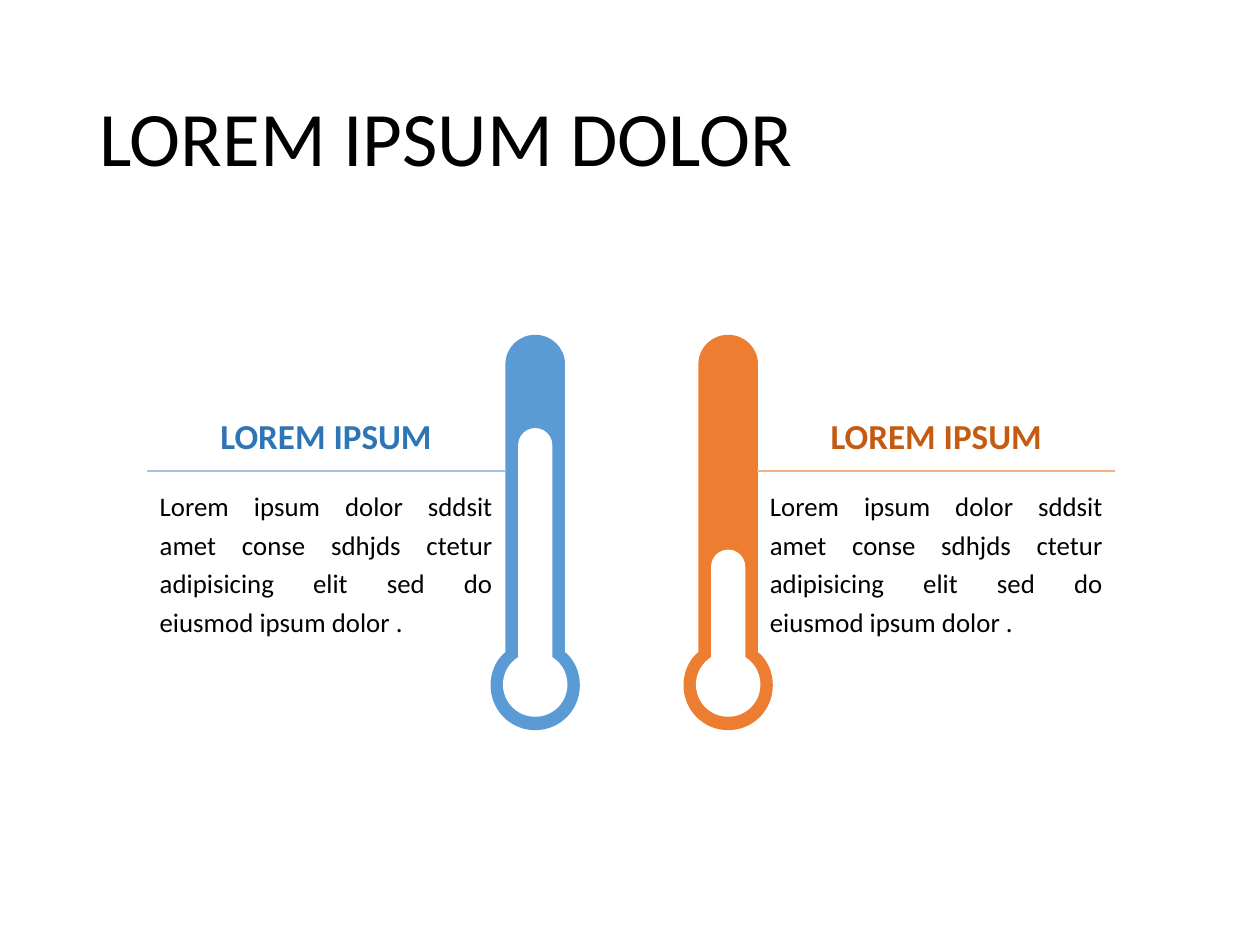
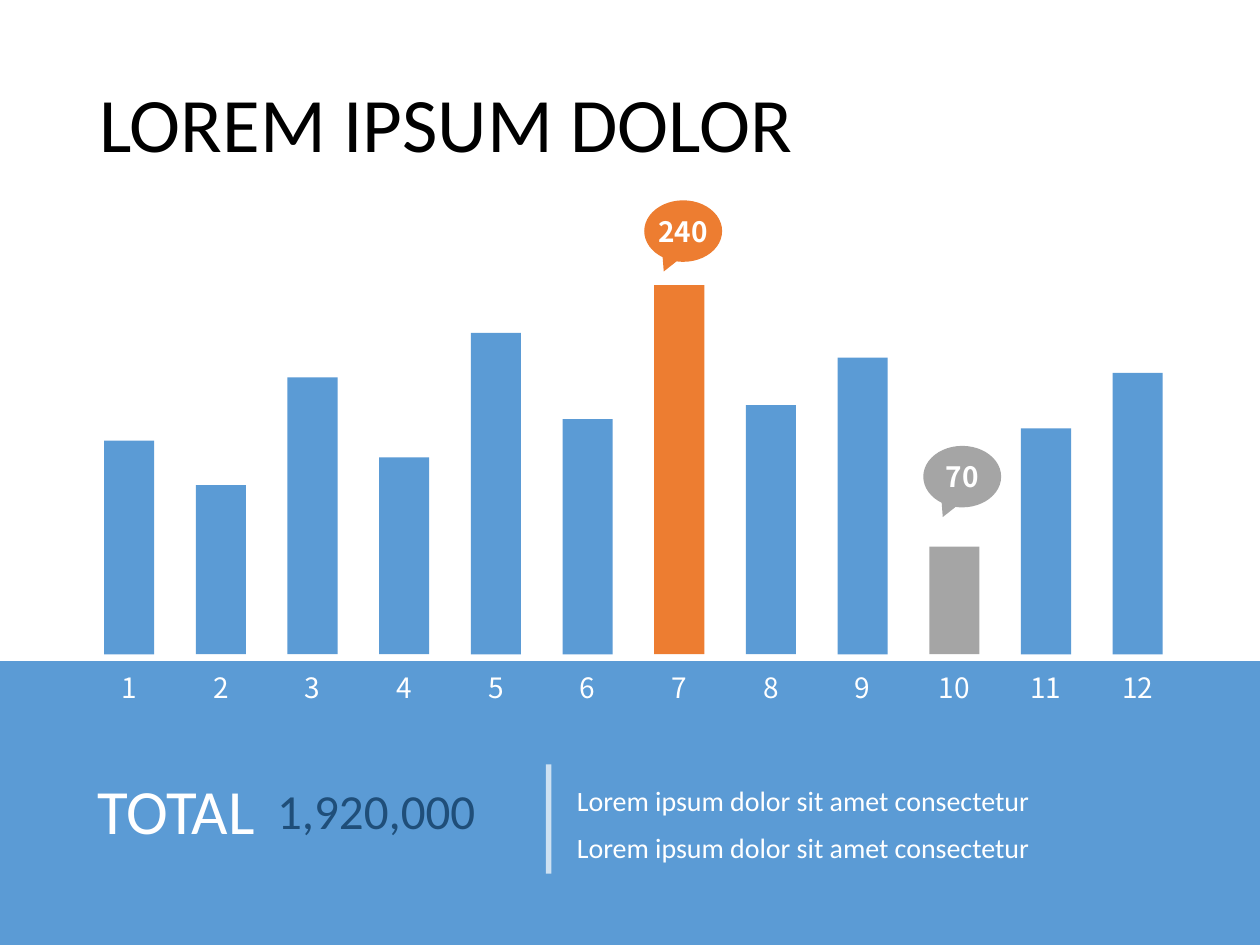
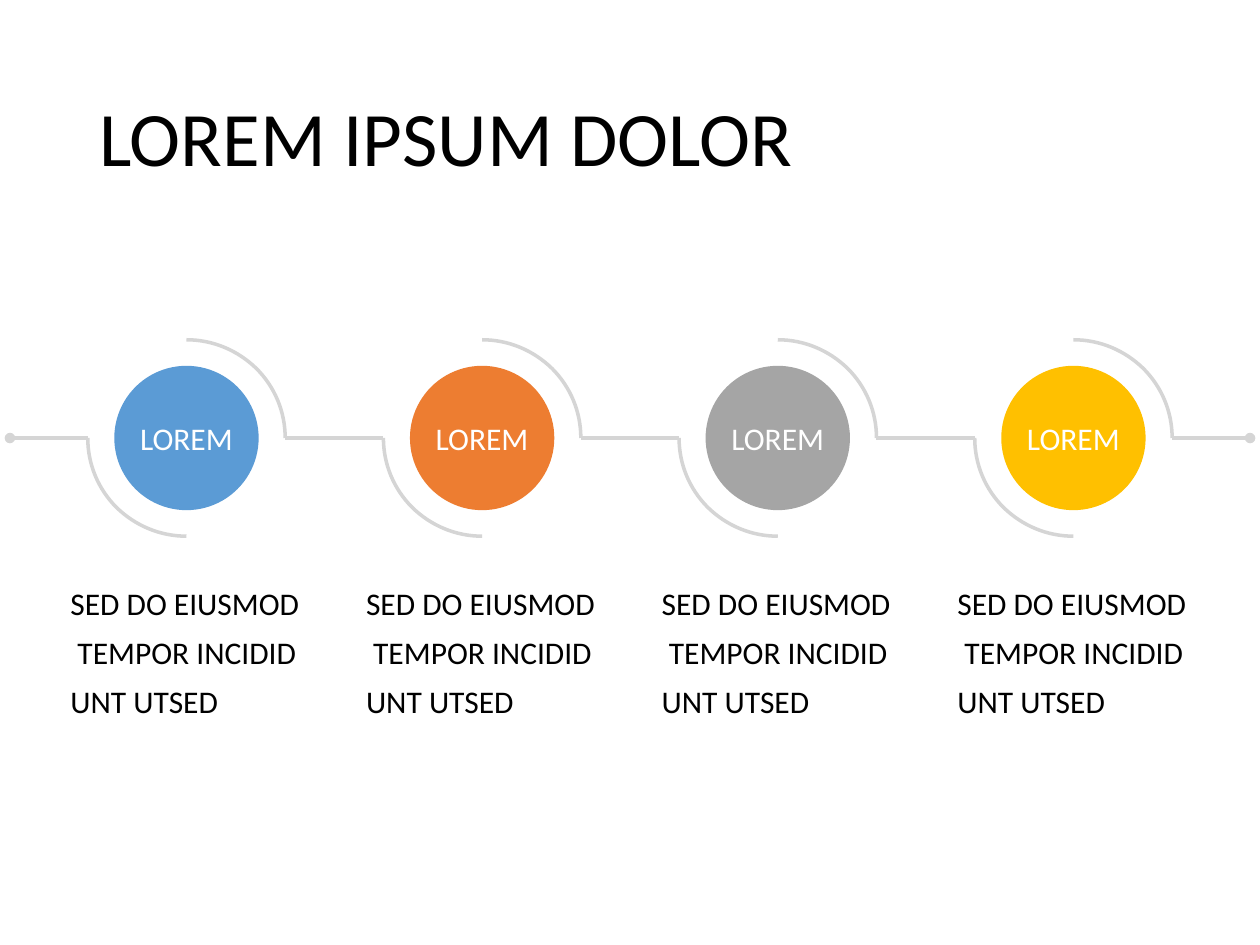
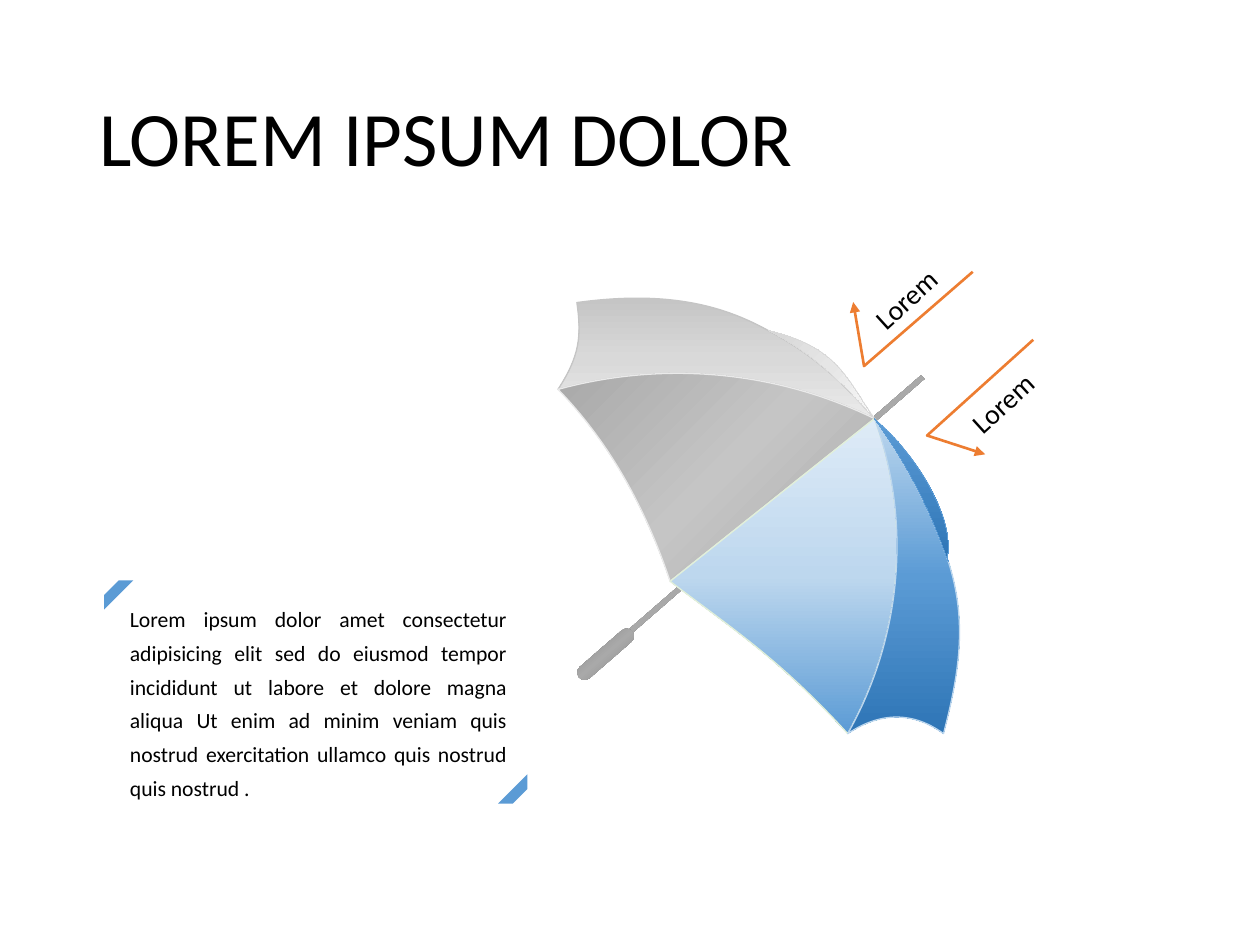
import dataclasses
import typing

import lxml.etree
import pptx
import pptx.dml.color
import pptx.enum.shapes
import pptx.enum.text
import pptx.oxml.ns
import pptx.util

SHAPES = pptx.enum.shapes.MSO_SHAPE
ALIGN = pptx.enum.text.PP_ALIGN
ANCHOR = pptx.enum.text.MSO_ANCHOR
Cm = pptx.util.Cm
Pt = pptx.util.Pt


@dataclasses.dataclass(frozen=True)
class Theme:
    text_font: str = "Calibri"
    number_font: str = "Noto Sans CJK SC"
    black: str = "000000"
    white: str = "FFFFFF"
    blue: str = "5B9BD5"
    blue_dark: str = "2E75B6"
    blue_deep: str = "1F4E79"
    blue_soft: str = "9DC3E6"
    blue_light: str = "BDD7EE"
    blue_pale: str = "DEEBF7"
    green_pale: str = "E2F0D9"
    orange: str = "ED7D31"
    orange_dark: str = "C55A11"
    orange_soft: str = "F4B183"
    yellow: str = "FFC000"
    gray: str = "A5A5A5"
    gray_dark: str = "7D7D7D"
    gray_middle: str = "A9A9A9"
    gray_soft: str = "C5C5C5"
    gray_line: str = "D5D5D5"
    gray_light: str = "D9D9D9"
    gray_pale: str = "EAEAEA"
    gray_sheen: tuple = ("D7D7D7", "E6E6E6", "F9F9F9")
    title_size: float = 44
    total_size: float = 36
    amount_size: float = 28
    heading_size: float = 20
    step_size: float = 18
    label_size: float = 16
    body_size: float = 15.3
    quote_size: float = 12.4


THEME = Theme()
METAL = (THEME.gray_dark, THEME.gray_middle, THEME.gray_dark)
NO_INSETS = (0, 0, 0, 0)


class Box(typing.NamedTuple):
    left: float
    top: float
    width: float
    height: float

    def inside(self, left, top, width, height):
        return Box(self.left + left, self.top + top, width, height)

    def lengths(self):
        return [Cm(value) for value in self]


def rgb(color):
    return pptx.dml.color.RGBColor.from_string(color)


def add_element(parent, tag, **attributes):
    element = lxml.etree.SubElement(parent, pptx.oxml.ns.qn(tag))
    for name, value in attributes.items():
        element.set(name, str(value))
    return element


def write_text(shape, text, *, size, color=THEME.black, font=THEME.text_font, bold=False,
               align=ALIGN.LEFT, anchor=ANCHOR.TOP, insets=(0.25, 0.13, 0.25, 0.13),
               line_spacing=1.0, space_after=0):
    frame = shape.text_frame
    frame.word_wrap = True
    frame.vertical_anchor = anchor
    frame.margin_left, frame.margin_top, frame.margin_right, frame.margin_bottom = map(Cm, insets)
    frame.text = text
    for paragraph in frame.paragraphs:
        paragraph.alignment = align
        paragraph.line_spacing = line_spacing
        paragraph.space_before = Pt(0)
        paragraph.space_after = Pt(space_after)
        for run in paragraph.runs:
            run.font.name = font
            run.font.size = Pt(size)
            run.font.bold = bold
            run.font.color.rgb = rgb(color)


def add_text(slide, box, text, rotation=0, **text_format):
    shape = slide.shapes.add_textbox(*box.lengths())
    shape.rotation = rotation
    write_text(shape, text, **text_format)


def paint(shape, fill=None, line=None, width=0.75, angle=90):
    shape.shadow.inherit = False
    if fill is None:
        shape.fill.background()
    elif isinstance(fill, str):
        shape.fill.solid()
        shape.fill.fore_color.rgb = rgb(fill)
    else:
        shape.fill.gradient()
        shape.fill.gradient_angle = 360 - angle
        stops = shape._element.spPr.find(".//" + pptx.oxml.ns.qn("a:gsLst"))
        stops.clear()
        for index, color in enumerate(fill):
            stop = add_element(stops, "a:gs", pos=index * 100000 // (len(fill) - 1))
            add_element(stop, "a:srgbClr", val=color)
    if line is None:
        shape.line.fill.background()
    else:
        shape.line.color.rgb = rgb(line)
        shape.line._get_or_add_ln().set("w", str(int(Pt(width))))


def add_shape(slide, kind, box, fill, rotation=0, adjustments=()):
    shape = slide.shapes.add_shape(kind, *box.lengths())
    shape.rotation = rotation
    for index, value in enumerate(adjustments):
        shape.adjustments[index] = value
    paint(shape, fill)
    return shape


def mark_end(shape, end, kind):
    add_element(shape.line._get_or_add_ln(), f"a:{end}End", type=kind)


def add_line(slide, start, end, color, width, opacity=None):
    connector = slide.shapes.add_connector(
        pptx.enum.shapes.MSO_CONNECTOR.STRAIGHT, *map(Cm, (*start, *end)))
    connector.line.color.rgb = rgb(color)
    connector.line.width = Pt(width)
    properties = connector._element.spPr
    if opacity is not None:
        color_element = properties.find(".//" + pptx.oxml.ns.qn("a:srgbClr"))
        add_element(color_element, "a:alpha", val=opacity * 1000)
    add_element(properties, "a:effectLst")
    return connector


def trace(start, segments, steps=20):
    points = [start]
    for segment in segments:
        if len(segment) == 1:
            points.extend(segment)
            continue
        controls = (points[-1], *segment)
        for step in range(1, steps + 1):
            t = step / steps
            weights = ((1 - t) ** 3, 3 * t * (1 - t) ** 2, 3 * t * t * (1 - t), t ** 3)
            points.append(tuple(sum(weight * point[axis] for weight, point in zip(weights, controls))
                                for axis in (0, 1)))
    return points


def add_outline(slide, box, start, segments, closed=True, **style):
    def place(point):
        return Cm(box.left + point[0]), Cm(box.top + point[1])

    extent = [place(point) for point in trace(start, segments)]
    builder = slide.shapes.build_freeform(*extent[0])
    builder.add_line_segments(extent[1:], close=closed)
    shape = builder.convert_to_shape()
    outline = shape._element.spPr.find(".//" + pptx.oxml.ns.qn("a:path"))
    for command in list(outline):
        outline.remove(command)
    tags = {1: "a:lnTo", 3: "a:cubicBezTo"}
    commands = [("a:moveTo", [start])] + [(tags[len(segment)], segment) for segment in segments]
    for tag, points in commands:
        command = add_element(outline, tag)
        for x, y in map(place, points):
            add_element(command, "a:pt", x=x - shape.left, y=y - shape.top)
    if closed:
        add_element(outline, "a:close")
    paint(shape, **style)
    return shape


def mirror(start, segments):
    origins = [start] + [segment[-1] for segment in segments]
    return [[(-x, y) for x, y in reversed([origin, *segment[:-1]])]
            for origin, segment in reversed(list(zip(origins, segments)))]


def add_titled_slide(presentation, title_height=3.68):
    slide = presentation.slides.add_slide(presentation.slide_layouts[5])
    title = slide.shapes.title
    title.left, title.top, title.width, title.height = Box(1.75, 1.02, 21.89, title_height).lengths()
    write_text(title, "LOREM IPSUM DOLOR", size=THEME.title_size, anchor=ANCHOR.MIDDLE,
               line_spacing=0.9)
    return slide


def add_thermometer(slide, box, color, level_top):
    start = (0, 0)
    right_side = [
        [(0.33, 0), (0.6, 0.26), (0.6, 0.59)],
        [(0.6, 6.4)],
        [(0.64, 6.43)],
        [(0.8, 6.58), (0.9, 6.81), (0.9, 7.06)],
        [(0.9, 7.57), (0.5, 7.97), (0, 7.97)]]
    middle = box.width / 2
    add_outline(slide, box.inside(middle, 0, 0, 0), start, right_side + mirror(start, right_side),
                fill=color)
    bulb, tube = 1.3, 0.69
    add_shape(slide, SHAPES.OVAL, box.inside(middle - bulb / 2, 6.4, bulb, bulb), THEME.white)
    add_shape(slide, SHAPES.ROUNDED_RECTANGLE,
              box.inside(middle - tube / 2, level_top, tube, 6.95 - level_top),
              THEME.white, adjustments=[0.5])


def add_reading_panel(slide, box, heading_color, line_color):
    rule = box.top + 1.43
    add_line(slide, (box.left, rule), (box.left + box.width, rule), line_color, 1)
    add_text(slide, box.inside(0, 1.55, box.width, 3.53),
             "Lorem ipsum dolor sddsit amet conse sdhjds ctetur adipisicing elit sed do "
             "eiusmod ipsum dolor .",
             size=THEME.body_size, align=ALIGN.JUSTIFY, line_spacing=1.2)
    add_text(slide, box.inside(0, 0, box.width, 1.42), "LOREM IPSUM", size=THEME.heading_size,
             color=heading_color, bold=True, align=ALIGN.CENTER, anchor=ANCHOR.MIDDLE,
             insets=(0.41, 0, 0.41, 0))


def build_thermometer_slide(presentation):
    slide = add_titled_slide(presentation)
    add_thermometer(slide, Box(13.78, 6.75, 1.8, 7.97), THEME.orange, 4.33)
    add_thermometer(slide, Box(9.89, 6.75, 1.8, 7.97), THEME.blue, 1.88)
    add_reading_panel(slide, Box(2.97, 8.07, 7.21, 5.11), THEME.blue_dark, THEME.blue_soft)
    add_reading_panel(slide, Box(15.27, 8.07, 7.21, 5.11), THEME.orange_dark, THEME.orange_soft)


def add_monthly_bars(slide, box):
    values = [139, 110, 180, 128, 209, 153, 240, 162, 193, 70, 147, 183]
    highlights = {7: (THEME.orange, 0.08, 1.71), 10: (THEME.gray, 0.16, 2.03)}
    bar_width, label_width, height_per_unit = 1.01, 1.4, 0.031
    pitch = (box.width - bar_width) / (len(values) - 1)
    for month, value in enumerate(values, 1):
        color, callout_shift, callout_gap = highlights.get(month, (THEME.blue, 0, 0))
        left = (month - 1) * pitch
        center = left + bar_width / 2
        height = value * height_per_unit
        top = box.height - height
        add_shape(slide, SHAPES.RECTANGLE, box.inside(left, top, bar_width, height), color)
        add_text(slide, box.inside(center - label_width / 2, box.height + 0.23, label_width, 0.86),
                 str(month), size=THEME.label_size, color=THEME.white, font=THEME.number_font,
                 align=ALIGN.CENTER, anchor=ANCHOR.MIDDLE, insets=NO_INSETS)
        if callout_gap:
            width = 1.57
            callout = add_shape(slide, SHAPES.OVAL_CALLOUT,
                                box.inside(center + callout_shift - width / 2, top - callout_gap,
                                           width, 1.24),
                                color, adjustments=[-0.25, 0.657])
            write_text(callout, str(value), size=THEME.label_size, color=THEME.white,
                       font=THEME.number_font, bold=True, align=ALIGN.CENTER,
                       anchor=ANCHOR.MIDDLE, insets=NO_INSETS)


def add_total_band(slide, box):
    add_shape(slide, SHAPES.RECTANGLE, box, THEME.blue)
    centered = dict(anchor=ANCHOR.MIDDLE, insets=NO_INSETS)
    add_text(slide, box.inside(0, 1.9, 5.14, 2.18), "TOTAL", size=THEME.total_size,
             color=THEME.white, align=ALIGN.RIGHT, **centered)
    add_text(slide, box.inside(5.59, 1.91, 5.31, 2.18), "1,920,000", size=THEME.amount_size,
             color=THEME.blue_deep, **centered)
    divider = box.left + 11.06
    add_line(slide, (divider, box.top + 2.08), (divider, box.top + 4.28), THEME.white, 3.25,
             opacity=69)
    add_text(slide, box.inside(11.63, 1.89, 12.01, 2.49),
             "\n".join(["Lorem ipsum dolor sit amet consectetur"] * 2),
             size=THEME.label_size, color=THEME.white, align=ALIGN.JUSTIFY, line_spacing=1.4,
             **centered)


def build_bars_slide(presentation):
    slide = add_titled_slide(presentation, title_height=3.1)
    add_total_band(slide, Box(0, 13.33, 25.4, 5.72))
    add_monthly_bars(slide, Box(2.1, 5.75, 21.34, 7.44))


def add_timeline_step(slide, box, color):
    center = box.inside(box.width / 2, box.height / 2, 0, 0)
    diameter = 2.91
    circle = add_shape(slide, SHAPES.OVAL,
                       center.inside(-diameter / 2, -diameter / 2, diameter, diameter), color)
    write_text(circle, "LOREM", size=THEME.step_size, color=THEME.white, align=ALIGN.CENTER,
               anchor=ANCHOR.MIDDLE, insets=NO_INSETS)
    quarter = [(1.99, 0), (1.99, -0.53), (1.78, -1.03), (1.41, -1.4),
               (1.03, -1.77), (0.53, -1.98), (0, -1.98)]
    for direction in (1, -1):
        start, *curve = [(direction * x, direction * y) for x, y in quarter]
        add_outline(slide, center, start, [curve[:3], curve[3:]], closed=False,
                    line=THEME.gray_line, width=2)
    add_text(slide, center.inside(-2.59, 2.58, 5.18, 4.55),
             "SED DO EIUSMOD TEMPOR INCIDIDUNT UTSED".replace(" ", chr(160)),
             size=THEME.step_size, line_spacing=1.3)


def build_timeline_slide(presentation):
    slide = add_titled_slide(presentation)
    width, height, pitch, first_left, top = 3.98, 3.96, 5.96, 1.77, 6.85
    colors = [THEME.blue, THEME.orange, THEME.gray, THEME.yellow]
    lefts = [first_left + index * pitch for index in range(len(colors))]
    for left, color in zip(lefts, colors):
        add_timeline_step(slide, Box(left, top, width, height), color)
    axis = top + height / 2
    starts = [0.2] + [left + width for left in lefts]
    links = [add_line(slide, (start, axis), (end, axis), THEME.gray_line, 2)
             for start, end in zip(starts, lefts + [25.2])]
    mark_end(links[0], "head", "oval")
    mark_end(links[-1], "tail", "oval")


def add_umbrella(slide, box):
    apex, tip_left, tip_front = (6.38, 2.44), (0, 1.85), (2.26, 5.72)
    tip_bottom, tip_back = (5.84, 8.79), (7.87, 5.33)
    upper_rib = [(2.13, 1.27), (4.39, 1.47)]
    lower_rib = [(6.93, 6.86), (7.14, 4.52)]
    back_rib = [(7.49, 4.24), (7.01, 3.3)]
    gray_top = (apex, [
        [(5.84, 1.83), (5.26, 1.22), (4.32, 0.71)],
        [(3.51, 0.25), (2.41, -0.18), (0.38, 0.1)],
        [(0.48, 0.79), (0.43, 1.19), tip_left],
        [*upper_rib, apex]])
    gray_front = (apex, [
        [*reversed(upper_rib), tip_left],
        [(1.07, 2.95), (1.78, 4.29), tip_front],
        [apex]])
    gray_back = (apex, [
        [(5.82, 1.63), (5.64, 0.99), (4.24, 0.66)],
        [(5.18, 1.14), (5.82, 1.8), apex]])
    blue_front = (tip_bottom, [
        [*lower_rib, apex],
        [tip_front],
        [(3.56, 6.71), (4.47, 7.29), tip_bottom]])
    blue_side = (tip_back, [
        [*back_rib, apex],
        [*reversed(lower_rib), tip_bottom],
        [(6.55, 8.31), (7.21, 8.38), (7.77, 8.79)],
        [(8.08, 7.59), (8.26, 6.55), tip_back]])
    blue_back = ((7.85, 5.23), [
        [(8, 4.47), (7.26, 3.18), apex],
        [*reversed(back_rib), tip_back]])
    panels = [
        (gray_top, (THEME.gray_soft, THEME.gray_light, THEME.gray_pale), 90, THEME.gray_soft, 0.75),
        (gray_front, (THEME.gray_middle, THEME.gray_soft, THEME.gray_middle), 45,
         THEME.gray_pale, 0.75),
        (gray_back, THEME.gray_sheen, 45, THEME.gray_light, 0),
        (blue_front, (THEME.blue_pale, THEME.blue_light, THEME.blue), 90, THEME.green_pale, 0.75),
        (blue_side, (THEME.blue_light, THEME.blue, THEME.blue_dark), 90, THEME.blue_light, 0.75),
        (blue_back, (THEME.blue, THEME.blue_dark), 90, THEME.blue, 0),
    ]
    tilt = 319
    add_shape(slide, SHAPES.RECTANGLE, box.inside(0.51, 4.11, 7.8, 0.1), METAL, tilt)
    for outline, fill, angle, line, width in panels:
        add_outline(slide, box, *outline, fill=fill, angle=angle, line=line, width=width)
    add_shape(slide, SHAPES.ROUNDED_RECTANGLE, box.inside(0.25, 7.04, 1.42, 0.3), METAL, tilt, [0.5])


def add_bouncing_arrow(slide, box, points, label_left, label_top, anchor):
    start, *others = points
    arrow = add_outline(slide, box, start, [[point] for point in others], closed=False,
                        line=THEME.orange, width=1.5)
    mark_end(arrow, "tail", "triangle")
    add_text(slide, box.inside(label_left, label_top, 2.79, 0.94), "Lorem", rotation=317.8,
             size=THEME.label_size, anchor=anchor)


def add_quote(slide, box):
    stripe = 0.59
    add_shape(slide, SHAPES.DIAGONAL_STRIPE, box.inside(0, 0, stripe, stripe), THEME.blue)
    add_shape(slide, SHAPES.DIAGONAL_STRIPE,
              box.inside(box.width - stripe, box.height - stripe, stripe, stripe), THEME.blue, 180)
    add_text(slide, box.inside(0.22, -0.05, 8.2, 4.9),
             "Lorem ipsum dolor amet consectetur adipisicing elit sed do eiusmod tempor "
             "incididunt ut labore et dolore magna aliqua Ut enim ad minim veniam quis nostrud "
             "exercitation ullamco quis nostrud quis nostrud .",
             size=THEME.quote_size, align=ALIGN.JUSTIFY, anchor=ANCHOR.MIDDLE,
             insets=(0.3, 0.3, 0.3, 0.3), line_spacing=1.3, space_after=6)


def build_umbrella_slide(presentation):
    slide = add_titled_slide(presentation)
    add_umbrella(slide, Box(11.25, 6, 8.26, 8.79))
    add_bouncing_arrow(slide, Box(17.2, 5.48, 2.41, 1.9), [(2.41, 0), (0.22, 1.9), (0, 0.61)],
                       -0.03, -0.21, ANCHOR.BOTTOM)
    add_bouncing_arrow(slide, Box(18.69, 6.85, 2.14, 2.31), [(2.14, 0), (0, 1.93), (1.17, 2.31)],
                       0.43, 0.52, ANCHOR.TOP)
    add_quote(slide, Box(2.1, 11.7, 8.53, 4.5))


def main():
    presentation = pptx.Presentation()
    presentation.slide_width = Cm(25.4)
    presentation.slide_height = Cm(19.05)
    build_thermometer_slide(presentation)
    build_bars_slide(presentation)
    build_timeline_slide(presentation)
    build_umbrella_slide(presentation)
    presentation.save("out.pptx")


if __name__ == "__main__":
    main()
